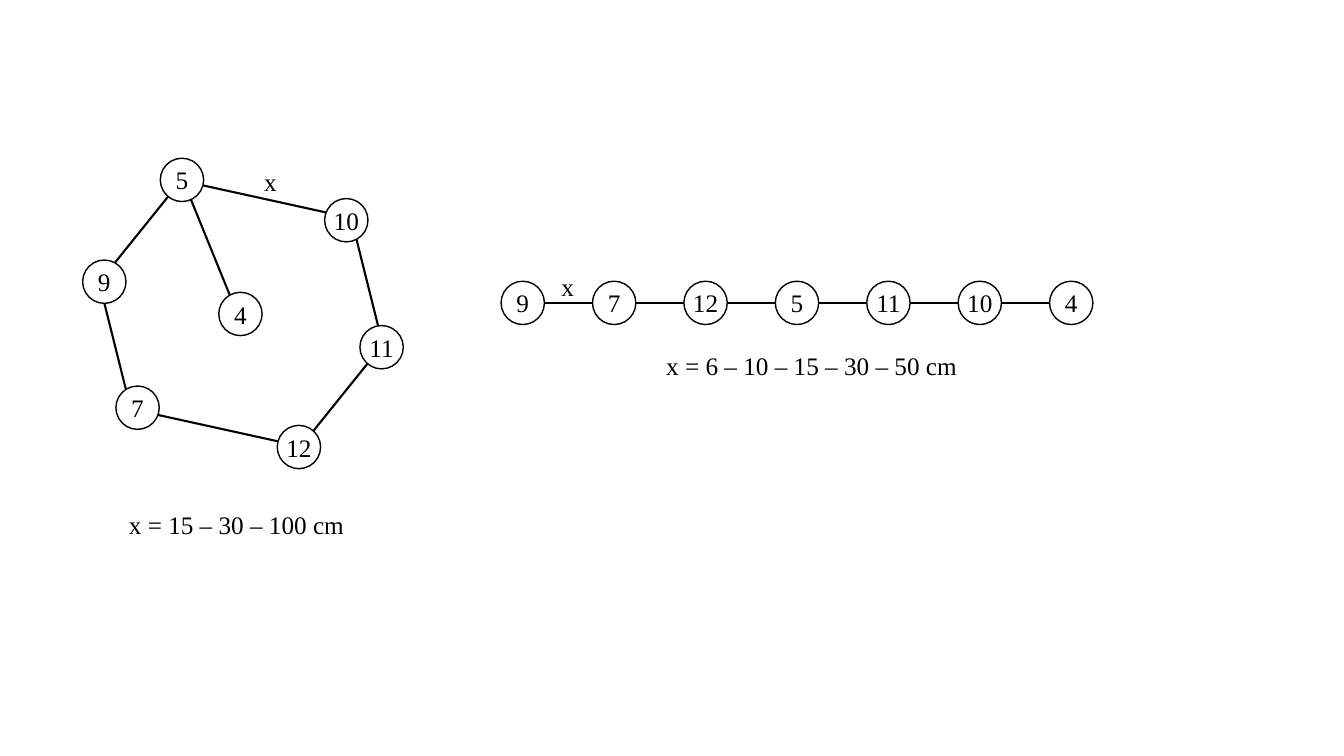
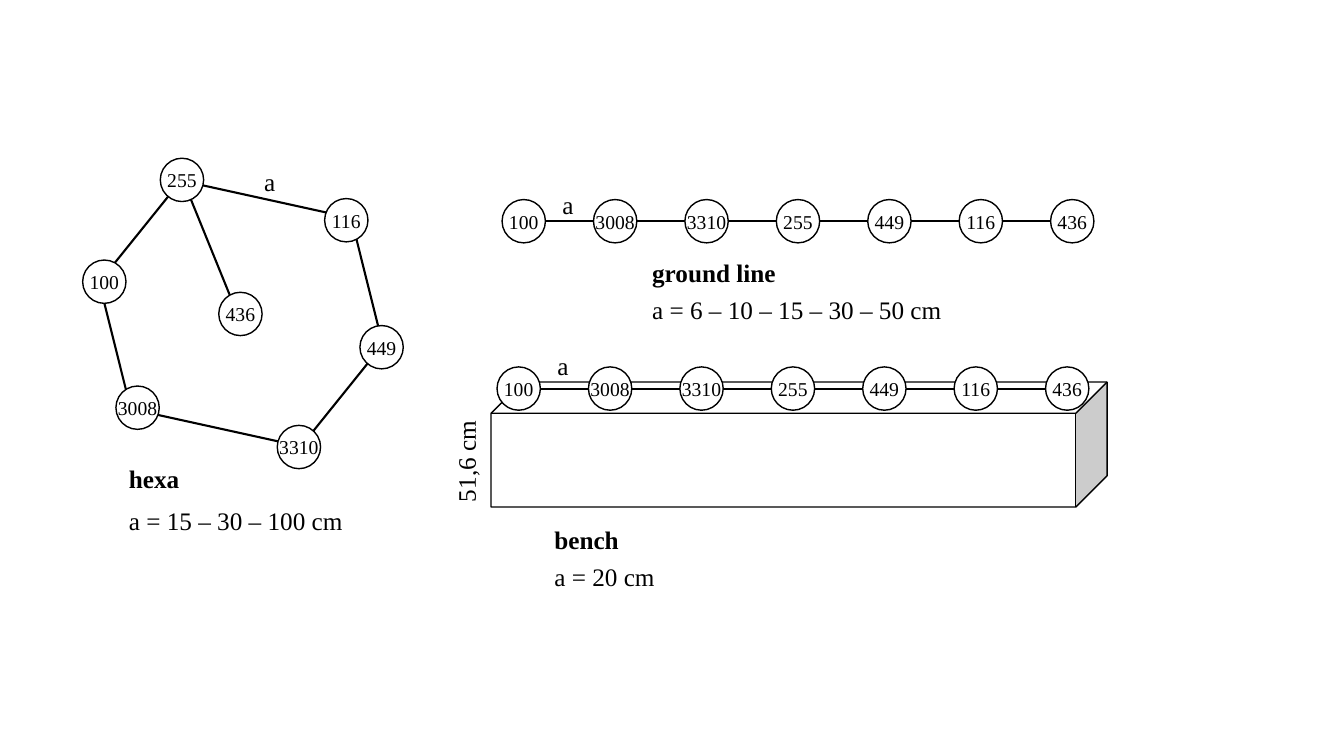
from lxml.etree import SubElement
from pptx import Presentation
from pptx.dml.color import RGBColor
from pptx.enum.shapes import MSO_CONNECTOR, MSO_SHAPE
from pptx.enum.text import MSO_ANCHOR, PP_ALIGN
from pptx.oxml.ns import qn
from pptx.util import Inches, Pt

INK, PAPER = "000000", "FFFFFF"
FONT = "Times New Roman"
DISC = 0.43
THICK, THIN = 1.5, 1
TEXT = 18
ROW = 5.87

# Offsets in the hexagon, in the order in which the nodes stand in a row
RING = [(0, 1.01), (0.33, 2.26), (1.93, 2.65), (0.77, 0),
        (2.75, 1.66), (2.40, 0.40), (1.35, 1.33)]


def color(code):
    return RGBColor.from_string(code)


def write(shape, text, size=TEXT, bold=False, align=PP_ALIGN.LEFT):
    frame = shape.text_frame
    frame.word_wrap = False
    para = frame.paragraphs[0]
    para.alignment = align
    run = para.add_run()
    run.text = text
    for key, value in {"name": FONT, "size": Pt(size), "bold": bold}.items():
        setattr(run.font, key, value)
    run.font.color.rgb = color(INK)


def label(slide, text, left, top, width, bold=False, turn=0):
    box = slide.shapes.add_textbox(*map(Inches, (left, top, width, 0.4)))
    box.rotation = turn
    write(box, text, bold=bold)


def outline(slide, kind, box, weight, fill=PAPER):
    """Add an inked preset shape; a fill of None leaves it open."""
    shape = slide.shapes.add_shape(kind, *map(Inches, box))
    shape.shadow.inherit = False
    if fill:
        shape.fill.solid()
        shape.fill.fore_color.rgb = color(fill)
    else:
        shape.fill.background()
    shape.line.color.rgb = color(INK)
    shape.line.width = Pt(weight)
    return shape


def link(slide, *ends):
    line = slide.shapes.add_connector(MSO_CONNECTOR.STRAIGHT, *map(Inches, ends))
    line.line.color.rgb = color(INK)
    line.line.width = Pt(THICK)
    SubElement(line._element.spPr, qn("a:effectLst"))


def node(slide, text, left, top, size):
    disc = outline(slide, MSO_SHAPE.OVAL, (left, top, DISC, DISC), THIN)
    disc.text_frame.vertical_anchor = MSO_ANCHOR.MIDDLE
    write(disc, text, size, align=PP_ALIGN.CENTER)


def hexa(slide, left, top, names, size, gap):
    """Draw six nodes on a tilted hexagon and one linked node inside it."""
    link(slide, left + 1.07, top + 0.4, left + 1.46, top + 1.36)
    ring = outline(slide, MSO_SHAPE.FLOWCHART_PREPARATION,
                   (left + 0.13, top + 0.38, 2.88, 2.32), THICK, None)
    ring.rotation = 12.4
    for name, (x, y) in zip(names, RING):
        node(slide, name, left + x, top + y, size)
    label(slide, gap, left + 1.7, top + 0.03, 0.32)


def row(slide, left, top, names, size, gap, lift=0.15):
    """Draw evenly spaced nodes on a line, the gap's name lifted above it."""
    mid = top + DISC / 2
    link(slide, left + DISC, mid, left + ROW - DISC, mid)
    step = (ROW - DISC) / (len(names) - 1)
    for i, name in enumerate(names):
        node(slide, name, left + i * step, top, size)
    label(slide, gap, left + 0.5, top - lift, 0.32)


def bench(slide, left, top, names, size, gap):
    """Draw a row of nodes on top of a long block with its height."""
    outline(slide, MSO_SHAPE.CUBE, (left, top, 6.11, 1.24), THIN)
    row(slide, left + 0.06, top - 0.15, names, size, gap, 0.21)
    label(slide, "51,6 cm", left - 0.76, top + 0.58, 1.02, turn=270)


def plain(slide):
    names, size, gap = "9 7 12 5 11 10 4".split(), 18, "x"
    hexa(slide, 0.82, 1.57, names, size, gap)
    label(slide, "x = 15 – 30 – 100 cm", 1.18, 5, 2.41)
    row(slide, 4.97, 2.79, names, size, gap)
    label(slide, "x = 6 – 10 – 15 – 30 – 50 cm", 6.51, 3.43, 3.17)


def named(slide):
    names, size, gap = "100 3008 3310 255 449 116 436".split(), 14, "a"
    hexa(slide, 0.82, 1.57, names, size, gap)
    label(slide, "hexa", 1.18, 4.55, 0.71, bold=True)
    label(slide, "a = 15 – 30 – 100 cm", 1.18, 4.96, 2.41)
    row(slide, 4.98, 1.98, names, size, gap)
    label(slide, "ground line", 6.37, 2.5, 1.44, bold=True)
    label(slide, "a = 6 – 10 – 15 – 30 – 50 cm", 6.37, 2.87, 3.17)
    bench(slide, 4.87, 3.79, names, size, gap)
    label(slide, "bench", 5.4, 5.15, 0.85, bold=True)
    label(slide, "a = 20 cm", 5.4, 5.52, 1.21)


def main():
    deck = Presentation()
    deck.slide_width, deck.slide_height = Inches(13.33), Inches(7.5)
    for draw in (plain, named):
        draw(deck.slides.add_slide(deck.slide_layouts[6]))
    deck.save("out.pptx")


if __name__ == "__main__":
    main()
